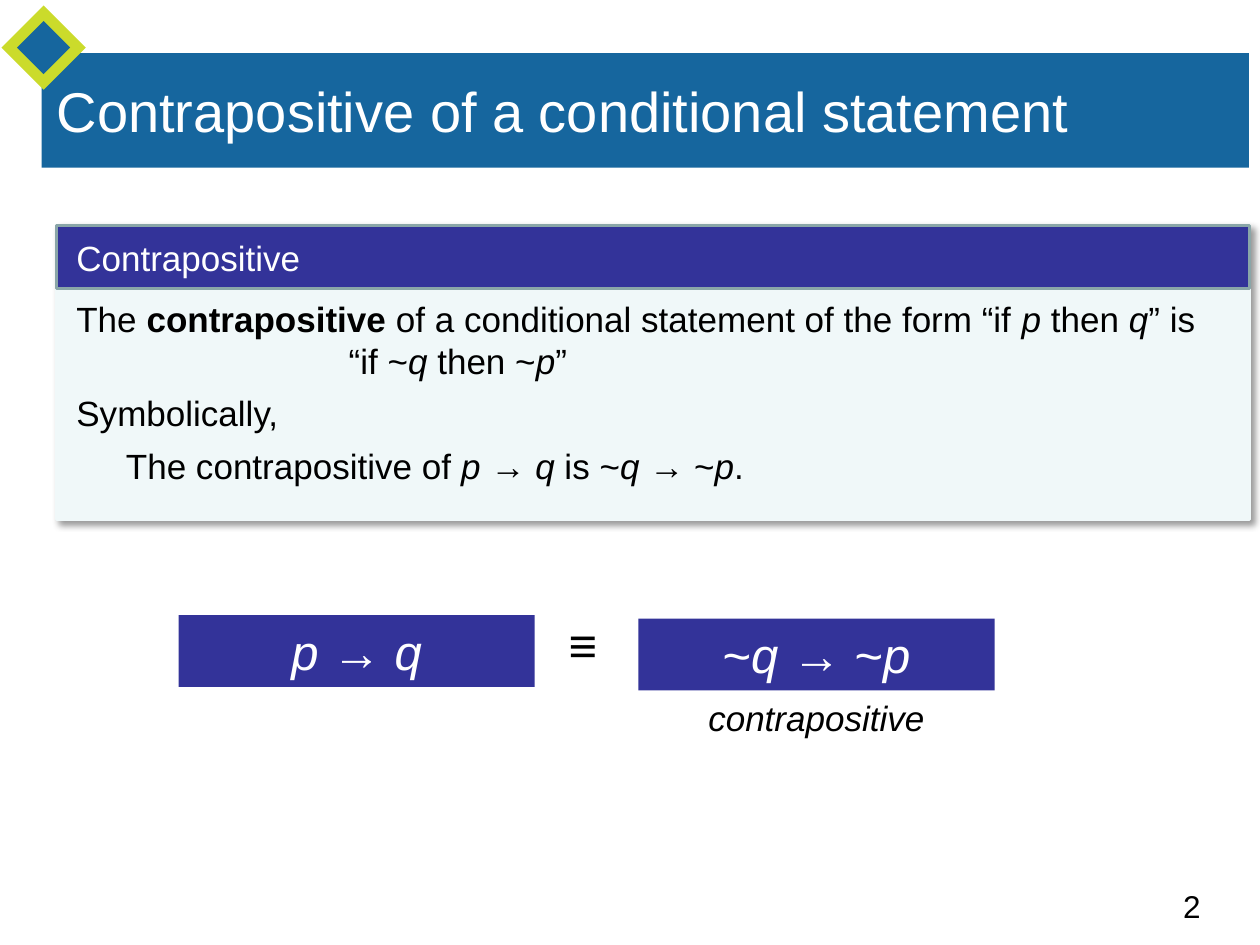
from lxml import etree
from pptx import Presentation
from pptx.dml.color import RGBColor
from pptx.enum.shapes import MSO_SHAPE
from pptx.enum.text import MSO_ANCHOR, PP_ALIGN
from pptx.oxml.ns import qn
from pptx.util import Cm, Pt

RECT, DIAMOND = MSO_SHAPE.RECTANGLE, MSO_SHAPE.DIAMOND
LEFT, CENTER = PP_ALIGN.LEFT, PP_ALIGN.CENTER
TOP, MIDDLE = MSO_ANCHOR.TOP, MSO_ANCHOR.MIDDLE
TITLE_ONLY = 5
FONT = "Arial"
BLUE, LIME, INDIGO = "16669E", "CBDB2B", "333399"
PALE, GREY, WHITE, BLACK = "F0F8F9", "8AA6A8", "FFFFFF", "000000"


def color(hex_code):
    return RGBColor.from_string(hex_code)


def add_box(shapes, kind, box, fill, line=None):
    shape = shapes.add_shape(kind, *map(Cm, box))
    shape.shadow.inherit = False
    shape.fill.solid()
    shape.fill.fore_color.rgb = color(fill)
    if line:
        shape.line.color.rgb = color(line)
        shape.line.width = Pt(2)
    else:
        shape.line.fill.background()
    return shape


def write(paragraph, text, size, hex_code, align=LEFT, bold=None, indent=0, after=0):
    """Fill a paragraph; _text_ is italic and *text* is bold."""
    paragraph.alignment = align
    paragraph.space_after = Pt(after)
    font = paragraph.font
    font.name, font.size, font.bold = FONT, Pt(size), bold
    font.color.rgb = color(hex_code)
    if indent:
        paragraph._p.get_or_add_pPr().set("marL", str(Cm(indent)))
    for i, part in enumerate(text.split("_")):
        for j, piece in enumerate(part.split("*")):
            if piece:
                run = paragraph.add_run()
                run.text = piece
                if i % 2:
                    run.font.italic = True
                if j % 2:
                    run.font.bold = True


def add_label(shapes, box, text, size, hex_code=BLACK, **style):
    label = shapes.add_textbox(*map(Cm, box))
    label.text_frame.word_wrap = True
    write(label.text_frame.paragraphs[0], text, size, hex_code, **style)
    return label


def add_soft_shadow(shape):
    effects = shape._element.spPr.find(qn("a:effectLst"))
    shadow = etree.SubElement(effects, qn("a:outerShdw"), blurRad=str(Pt(4)),
                              dist=str(Pt(3)), dir="2700000", algn="tl")
    tint = etree.SubElement(shadow, qn("a:srgbClr"), val=BLACK)
    etree.SubElement(tint, qn("a:alpha"), val="40000")


def add_header(slide, left, top, width, height, text):
    # Band with two nested diamonds on its upper left corner
    add_box(slide.shapes, RECT, (left, top, width, height), BLUE)
    for side, fill in ((1.7, LIME), (1.07, BLUE)):
        add_box(slide.shapes, DIAMOND,
                (left + 0.04 - side / 2, top - 0.11 - side / 2, side, side), fill)
    # Title in front of the band
    title = slide.shapes.title
    title.left, title.top, title.width, title.height = map(
        Cm, (left + 0.05, top, width, height))
    title.text_frame.vertical_anchor = MIDDLE
    write(title.text_frame.paragraphs[0], text, 32, WHITE)
    slide.shapes._spTree.append(title._element)


def add_definition(slide, left, top, width, height, heading, lines):
    shapes = slide.shapes.add_group_shape().shapes
    # Panel and heading bar
    add_soft_shadow(add_box(shapes, RECT, (left, top, width, height), PALE, PALE))
    add_box(shapes, RECT, (left, top, width, 1.27), INDIGO, GREY)
    add_label(shapes, (left + 0.15, top + 0.1, 14.48, 1.11), heading, 20, WHITE)
    # Definition text
    body = shapes.add_textbox(*map(Cm, (left + 0.15, top + 1.32, width - 0.15, 4.4)))
    frame = body.text_frame
    frame.word_wrap = True
    for number, (text, indent, after) in enumerate(lines):
        paragraph = frame.add_paragraph() if number else frame.paragraphs[0]
        write(paragraph, text, 20, BLACK, indent=indent, after=after)


def add_equivalence(slide, left, top, conditional, contrapositive, caption):
    shapes = slide.shapes.add_group_shape().shapes
    width, height, step, drop = 7.18, 1.45, 9.27, 0.07
    # The two equivalent statements
    for column, text in enumerate((conditional, contrapositive)):
        box = add_box(shapes, RECT, (left + column * step, top + column * drop,
                                     width, height), INDIGO)
        box.text_frame.vertical_anchor = TOP
        write(box.text_frame.paragraphs[0], text, 28, WHITE, align=CENTER)
    # Sign between them and caption below the second
    add_label(shapes, (left + 6.79, top - 0.13, 2.72, height), "≡", 28,
              align=CENTER, bold=True)
    add_label(shapes, (left + step - 0.48, top + height + 0.07, width + 0.96, 1.11),
              caption, 20, align=CENTER)


def main():
    deck = Presentation()
    deck.slide_width, deck.slide_height = Cm(25.4), Cm(19.05)
    slide = deck.slides.add_slide(deck.slide_layouts[TITLE_ONLY])
    add_header(slide, 0.84, 1.07, 24.34, 2.31,
               "Contrapositive of a conditional statement")
    add_definition(slide, 1.14, 4.55, 24.05, 5.92, "Contrapositive", (
        ("The *contrapositive* of a conditional statement of the form "
         "“if _p_ then _q_” is", 0, 0),
        ("“if ~_q_ then ~_p_”", 5.49, 6),
        ("Symbolically,", 0, 6),
        ("The contrapositive of _p _→ _q_ is ~_q_ → ~_p_.", 1, 6),
    ))
    add_equivalence(slide, 3.6, 12.4, "_p _→ _q_", "~_q _→ ~_p_",
                    "_contrapositive_")
    # Page number
    add_label(slide.shapes, (23.6, 17.75, 1.8, 1.02), "2", 18)
    deck.save("out.pptx")


if __name__ == "__main__":
    main()
